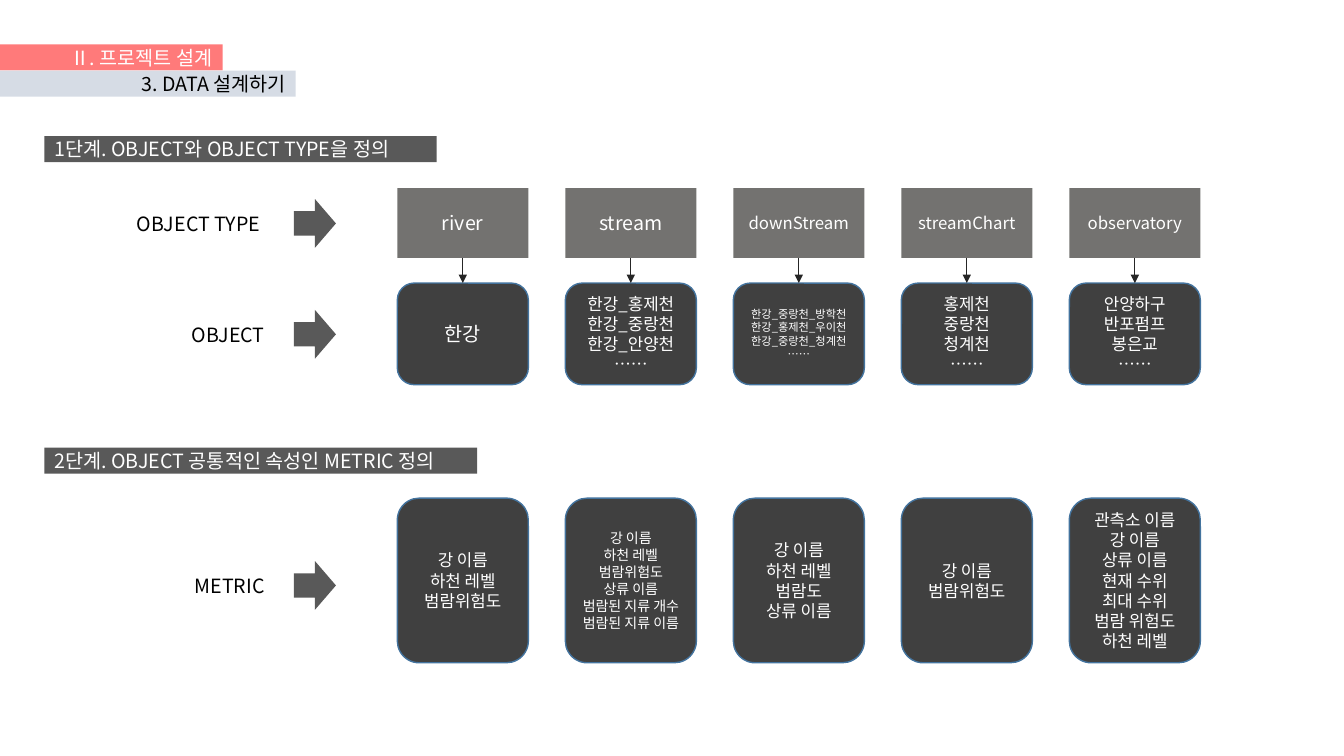
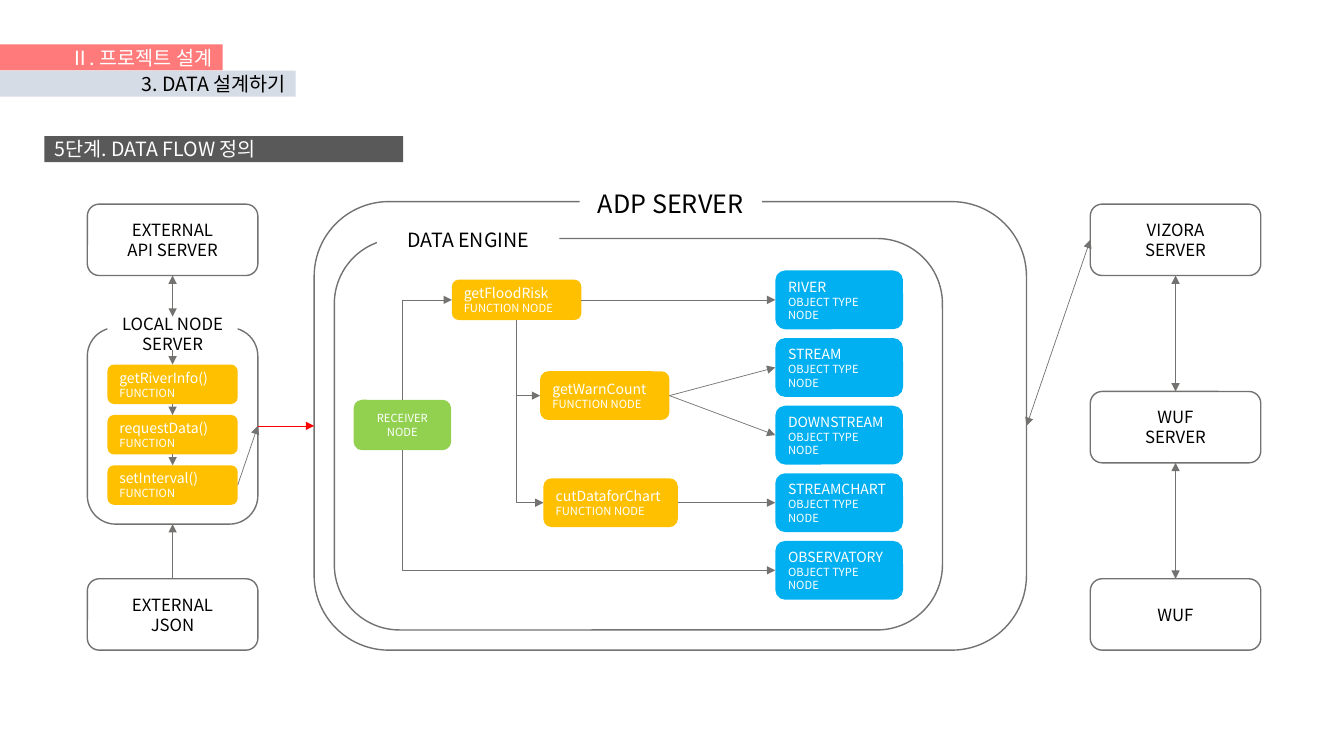
"""Build two data design slides: object and metric definitions, then the data flow."""
from lxml import etree
from pptx import Presentation
from pptx import util as u
from pptx.dml.color import RGBColor
from pptx.enum import shapes, text
from pptx.oxml import ns

FONT = "Noto Sans CJK KR"
COLORS = {
    "white": "FFFFFF", "black": "000000", "chapter": "FF7A7A", "section": "D6DCE5",
    "step": "595959", "type": "737270", "card": "404040", "card_edge": "43739E",
    "arrow": "262626", "flow": "737270", "send": "FF0000", "receiver": "92D050",
    "function": "FFC000", "object": "00B0F0",
}
RECT = shapes.MSO_SHAPE.RECTANGLE
ROUND = shapes.MSO_SHAPE.ROUNDED_RECTANGLE
ARROW = shapes.MSO_SHAPE.RIGHT_ARROW
LEFT, CENTER, RIGHT = text.PP_ALIGN.LEFT, text.PP_ALIGN.CENTER, text.PP_ALIGN.RIGHT
TOP_SIDE, LEFT_SIDE, BOTTOM_SIDE, RIGHT_SIDE = range(4)

deck = Presentation()
deck.slide_width, deck.slide_height = u.Inches(13.33), u.Inches(7.5)
COL, ROW = deck.slide_width / 160, deck.slide_height / 90


def box(slide, kind, place, lines=(), fill=None, edge=None, ink="white", align=CENTER):
    """Place a shape, or a text box if kind is None, with (text, size) lines."""
    x, y, w, h = place
    frame = [round(v) for v in (x * COL, y * ROW, w * COL, h * ROW)]
    if kind is None:
        item = slide.shapes.add_textbox(*frame)
    else:
        item = slide.shapes.add_shape(kind, *frame)
        item.shadow.inherit = False
    if fill:
        item.fill.solid()
        item.fill.fore_color.rgb = RGBColor.from_string(COLORS[fill])
    else:
        item.fill.background()
    if edge:
        item.line.color.rgb = RGBColor.from_string(COLORS[edge])
        item.line.width = u.Pt(1)
    else:
        item.line.fill.background()
    body = item.text_frame
    body.word_wrap = True
    body.vertical_anchor = text.MSO_ANCHOR.MIDDLE
    for i, (words, size) in enumerate(lines):
        paragraph = body.add_paragraph() if i else body.paragraphs[0]
        paragraph.alignment = align
        run = paragraph.add_run()
        run.text = words
        run.font.size = u.Pt(size)
        run.font.color.rgb = RGBColor.from_string(COLORS[ink])
        run.font.name = FONT
        etree.SubElement(run.font._element, ns.qn("a:ea"), typeface=FONT)
    return item


def link(slide, start, start_side, end, end_side, color="flow", heads=("tailEnd",), bent=False):
    """Join two shapes with a straight or one-bend arrow."""
    kind = shapes.MSO_CONNECTOR.ELBOW if bent else shapes.MSO_CONNECTOR.STRAIGHT
    line = slide.shapes.add_connector(kind, 0, 0, 0, 0)
    line.begin_connect(start, start_side)
    line.end_connect(end, end_side)
    line.line.color.rgb = RGBColor.from_string(COLORS[color])
    line.line.width = u.Pt(0.5)
    properties = line._element.spPr
    if bent:
        properties.find(ns.qn("a:prstGeom")).set("prst", "bentConnector2")
    for head in heads:
        etree.SubElement(properties.find(ns.qn("a:ln")), ns.qn("a:" + head), type="triangle")
    etree.SubElement(properties, ns.qn("a:effectLst"))


STEPS = [
    [("1단계. OBJECT와 OBJECT TYPE을 정의", 16.2, 46.7),
     ("2단계. OBJECT 공통적인 속성인 METRIC 정의", 53.3, 51.5)],
    [("5단계. DATA FLOW 정의", 16.2, 42.7)],
]
pages = []
for steps in STEPS:
    page = deck.slides.add_slide(deck.slide_layouts[6])
    box(page, RECT, (0, 5.3, 26.5, 3.1), [("Ⅱ. 프로젝트 설계", 14)], "chapter", align=RIGHT)
    box(page, RECT, (0, 8.4, 35.2, 3.1), [("3. DATA 설계하기", 14)], "section",
        ink="black", align=RIGHT)
    for title, y, width in steps:
        box(page, RECT, (5.3, y, width, 3.1), [(title, 14)], "step", align=LEFT)
    pages.append(page)
definition, flow = pages

for label, y in [("OBJECT TYPE ", 23.4), ("OBJECT", 36.6), ("METRIC", 66.5)]:
    box(definition, None, (9.5, y, 23.2, 6.4), [(label, 14)], ink="black", align=RIGHT)
    box(definition, ARROW, (35, y + 0.3, 5, 5.8), fill="step")

OBJECT_TYPES = [
    ("river", 14, ["한강"], 14, ["강 이름", "하천 레벨", "범람위험도"], 12),
    ("stream", 14, ["한강_홍제천", "한강_중랑천", "한강_안양천", "……"], 12,
     ["강 이름", "하천 레벨", "범람위험도", "상류 이름", "범람된 지류 개수", "범람된 지류 이름"], 10),
    ("downStream", 12, ["한강_중랑천_방학천", "한강_홍제천_우이천", "한강_중랑천_청계천", "……"], 8,
     ["강 이름", "하천 레벨", "범람도", "상류 이름"], 12),
    ("streamChart", 12, ["홍제천", "중랑천", "청계천", "……"], 12, ["강 이름", "범람위험도"], 12),
    ("observatory", 12, ["안양하구", "반포펌프", "봉은교", "……"], 12,
     ["관측소 이름", "강 이름", "상류 이름", "현재 수위", "최대 수위", "범람 위험도", "하천 레벨"], 12),
]
for i, (name, name_size, objects, object_size, metrics, metric_size) in enumerate(OBJECT_TYPES):
    x = 47.3 + 20 * i
    object_type = box(definition, RECT, (x, 22.4, 15.6, 8.3), [(name, name_size)], "type")
    examples = box(definition, ROUND, (x, 33.7, 15.6, 12.1),
                   [(words, object_size) for words in objects], "card", "card_edge")
    box(definition, ROUND, (x, 59.3, 15.6, 19.6),
        [(words, metric_size) for words in metrics], "card", "card_edge")
    link(definition, object_type, BOTTOM_SIDE, examples, TOP_SIDE, "arrow")

SYSTEMS = [
    ("api", 10.4, 0, ["EXTERNAL", "API SERVER"]),
    ("json", 10.4, 2, ["EXTERNAL", "JSON"]),
    ("viewer", 129.8, 0, ["VIZORA", "SERVER"]),
    ("wuf_server", 129.8, 1, ["WUF", "SERVER"]),
    ("wuf", 129.8, 2, ["WUF"]),
]
nodes = {}
for key, x, level, words in SYSTEMS:
    nodes[key] = box(flow, ROUND, (x, 24.3 + 22.3 * level, 20.3, 8.5),
                     [(line, 12) for line in words], edge="flow", ink="black")

CONTAINERS = [
    ("local", (10.4, 39, 20.3, 23.4), (12.8, 37.7, 15.5, 4), "LOCAL NODE SERVER", 12),
    ("adp", (37.4, 24, 84.8, 53.4), (69, 22.2, 21.7, 4), "ADP SERVER", 18),
    ("engine", (39.8, 28.4, 72.4, 46.6), (44.9, 26.5, 21.7, 4), "DATA ENGINE", 14),
]
for key, outline, title_place, title, size in CONTAINERS:
    nodes[key] = box(flow, ROUND, outline, edge="flow")
    nodes[key + "_title"] = box(flow, RECT, title_place, [(title, size)], "white", ink="black")

nodes["receiver"] = box(flow, ROUND, (42.1, 47.6, 11.6, 6), [("RECEIVER NODE", 8)], "receiver")

STEPS_LOCAL = ["getRiverInfo()", "requestData()", "setInterval()"]
FUNCTIONS = [(name, "FUNCTION", (12.8, 43.4 + 6 * i, 15.5, 4.7))
             for i, name in enumerate(STEPS_LOCAL)]
FUNCTIONS += [
    ("getFloodRisk", "FUNCTION NODE", (53.8, 33.3, 15.4, 4.8)),
    ("getWarnCount", "FUNCTION NODE", (64.3, 44.2, 15.4, 5.8)),
    ("cutDataforChart", "FUNCTION NODE", (64.7, 56.95, 16, 5.8)),
]
for name, role, place in FUNCTIONS:
    nodes[name] = box(flow, ROUND, place, [(name, 10), (role, 8)], "function", align=LEFT)

for i, (name, *_) in enumerate(OBJECT_TYPES):
    nodes[name] = box(flow, ROUND, (92.3, 32.2 + 8.05 * i, 15.2, 7),
                      [(name.upper(), 10), ("OBJECT TYPE NODE", 8)], "object", align=LEFT)

TWO_WAY = [
    ("api", BOTTOM_SIDE, "local_title", TOP_SIDE),
    ("adp", RIGHT_SIDE, "viewer", LEFT_SIDE),
    ("viewer", BOTTOM_SIDE, "wuf_server", TOP_SIDE),
    ("wuf_server", BOTTOM_SIDE, "wuf", TOP_SIDE),
]
ONE_WAY = [
    ("local_title", BOTTOM_SIDE, "getRiverInfo()", TOP_SIDE),
    ("getRiverInfo()", BOTTOM_SIDE, "requestData()", TOP_SIDE),
    ("requestData()", BOTTOM_SIDE, "setInterval()", TOP_SIDE),
    ("setInterval()", RIGHT_SIDE, "local", RIGHT_SIDE),
    ("json", TOP_SIDE, "local", BOTTOM_SIDE),
    ("getFloodRisk", RIGHT_SIDE, "river", LEFT_SIDE),
    ("getWarnCount", RIGHT_SIDE, "stream", LEFT_SIDE),
    ("getWarnCount", RIGHT_SIDE, "downStream", LEFT_SIDE),
    ("cutDataforChart", RIGHT_SIDE, "streamChart", LEFT_SIDE),
]
BENT = [
    ("getFloodRisk", LEFT_SIDE, "receiver", TOP_SIDE),
    ("observatory", LEFT_SIDE, "receiver", BOTTOM_SIDE),
    ("getWarnCount", LEFT_SIDE, "getFloodRisk", BOTTOM_SIDE),
    ("cutDataforChart", LEFT_SIDE, "getFloodRisk", BOTTOM_SIDE),
]
for routes, heads, bent in [(TWO_WAY, ("headEnd", "tailEnd"), False),
                            (ONE_WAY, ("tailEnd",), False),
                            (BENT, ("headEnd",), True)]:
    for start, start_side, end, end_side in routes:
        link(flow, nodes[start], start_side, nodes[end], end_side, heads=heads, bent=bent)
link(flow, nodes["local"], RIGHT_SIDE, nodes["adp"], LEFT_SIDE, "send")

deck.save("out.pptx")
